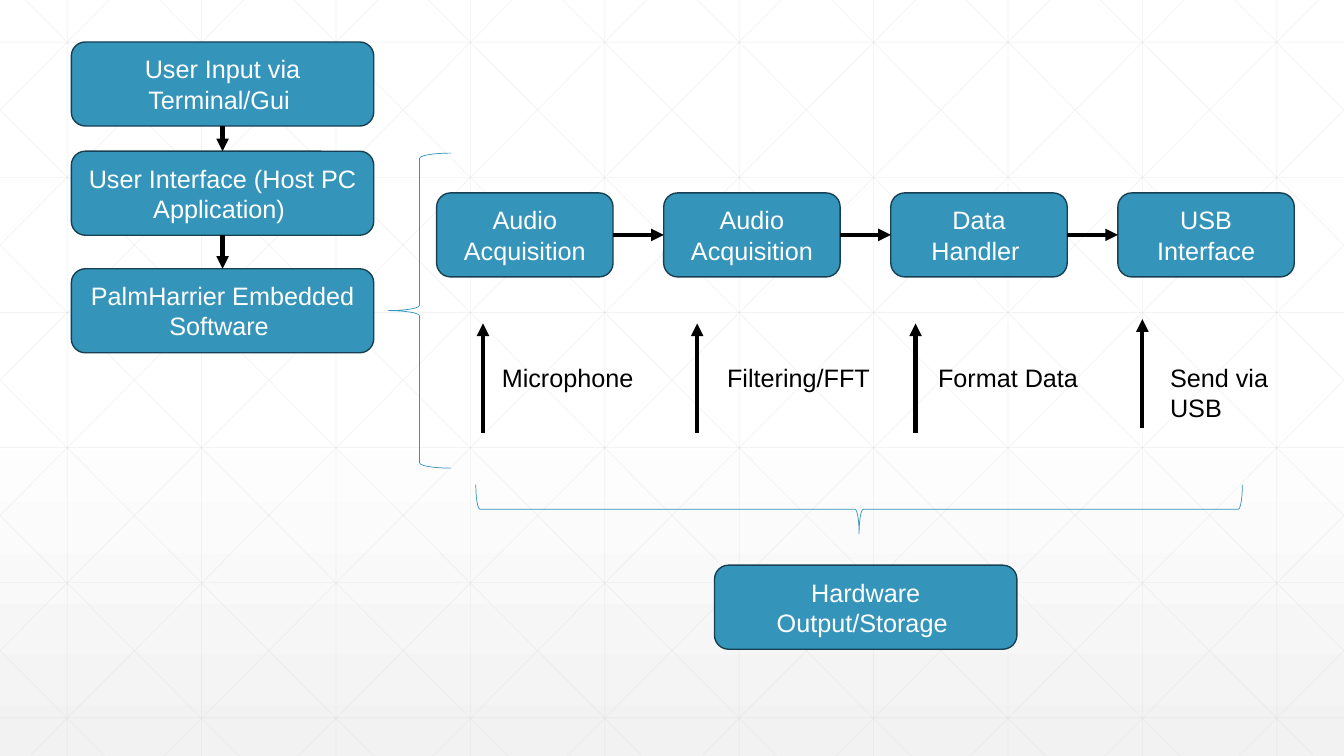
from lxml.etree import SubElement
from pptx import Presentation
from pptx.dml.color import RGBColor
from pptx.enum.shapes import MSO_CONNECTOR as CONN, MSO_SHAPE as SHAPE
from pptx.enum.text import MSO_ANCHOR as ANCHOR, PP_ALIGN as ALIGN
from pptx.oxml.ns import qn
from pptx.util import Pt

# Content: trailing spaces belong to the labels
HOST_STEPS = [  # label, top
    ("User Input via Terminal/Gui ", 30),
    ("User Interface (Host PC Application) ", 108),
    ("PalmHarrier Embedded Software ", 192),
]
STAGES = ["Audio Acquisition", "Audio Acquisition", "Data Handler ", "USB Interface"]
NOTES = [  # label, text left, arrow x, arrow top
    ("Microphone", 351.4, 345, 231),
    ("Filtering/FFT", 512.3, 498, 231),
    ("Format Data", 663, 654, 231),
    ("Send via USB", 828.7, 816, 228),
]
OUTPUT = ("Hardware Output/Storage ", 510.4, 403.7)
BRACES = [  # left, top, width, height, rotation
    (277.2, 109.4, 45, 225, 0),
    (596, 90, 35.3, 547.5, 270),
]

# Layout and style
W, H = 960, 540
GRID, GRID_Y = 96, 96.48
DIAGONAL_START, DIAGONAL_RUN = 18, 536.8
HOST_X, HOST_W, BOX_H = 51, 216, 60
STAGE_X, STAGE_Y, STAGE_W, STAGE_STEP = 311.9, 137.8, 126, 162.2
NOTE_Y, NOTE_W, ARROW_LEN = 255.3, 117, 78
TOP, LEFT, BOTTOM, RIGHT = range(4)  # connection sites
TEAL, EDGE, GREY, BLACK, WHITE = "3494BA", "174152", "D9D9D9", "000000", "FFFFFF"
FONT = {"name": "Arial", "size": Pt(18)}


def paint(color, value):
    color.rgb = RGBColor.from_string(value)


def write(shape, text, color, align, anchor):
    tf = shape.text_frame
    for key, value in {"word_wrap": True, "vertical_anchor": anchor}.items():
        setattr(tf, key, value)
    p = tf.paragraphs[0]
    p.alignment = align
    r = p.add_run()
    r.text = text
    for key, value in FONT.items():
        setattr(r.font, key, value)
    paint(r.font.color, color)


def outline(shape, color, width):
    paint(shape.line.color, color)
    shape.line.width = Pt(width)


def add_box(s, text, x, y, w):
    sp = s.shapes.add_shape(SHAPE.ROUNDED_RECTANGLE, Pt(x), Pt(y), Pt(w), Pt(BOX_H))
    sp.shadow.inherit = False
    sp.fill.solid()
    paint(sp.fill.fore_color, TEAL)
    outline(sp, EDGE, 1)
    write(sp, text, WHITE, ALIGN.CENTER, ANCHOR.MIDDLE)
    return sp


def add_line(s, x1, y1, x2, y2, color, width):
    line = s.shapes.add_connector(CONN.STRAIGHT, Pt(x1), Pt(y1), Pt(x2), Pt(y2))
    outline(line, color, width)
    SubElement(line._element.spPr, qn("a:effectLst"))
    return line


def add_grid_line(s, *ends):
    line = add_line(s, *ends, GREY, 0.5)
    color = line._element.spPr.find(".//" + qn("a:srgbClr"))
    SubElement(color, qn("a:alpha"), val="30000")


def add_arrow(s, x1, y1, x2, y2):
    line = add_line(s, x1, y1, x2, y2, BLACK, 3)
    SubElement(line.line._get_or_add_ln(), qn("a:tailEnd"), type="triangle")
    return line


def link(s, boxes, out_site, in_site):
    for a, b in zip(boxes, boxes[1:]):
        arrow = add_arrow(s, 0, 0, 0, 0)
        arrow.begin_connect(a, out_site)
        arrow.end_connect(b, in_site)


def add_backdrop(s):
    fill = s.background.fill
    fill.gradient()
    fill.gradient_angle = 270
    for stop, position, color in zip(fill.gradient_stops, (0.53, 1), (WHITE, "F2F2F2")):
        stop.position = position
        paint(stop.color, color)
    for i in range(10):
        x = GRID / 2 + i * GRID
        add_grid_line(s, x, 0, x, H)
    for i in range(6):
        y = 30.24 + i * GRID_Y
        add_grid_line(s, 0, y, W, y)
    # Diagonals clipped to the slide, each with its mirror image
    slope = H / DIAGONAL_RUN
    for i in range(-5, 10):
        start = DIAGONAL_START + i * GRID
        x1, x2 = max(start, 0), min(start + DIAGONAL_RUN, W)
        y1, y2 = (x1 - start) * slope, (x2 - start) * slope
        add_grid_line(s, x1, y1, x2, y2)
        add_grid_line(s, W - x1, y1, W - x2, y2)


def main():
    prs = Presentation()
    prs.slide_width, prs.slide_height = Pt(W), Pt(H)
    s = prs.slides.add_slide(prs.slide_layouts[6])
    add_backdrop(s)

    # Host column and processing row
    hosts = [add_box(s, text, HOST_X, y, HOST_W) for text, y in HOST_STEPS]
    stages = [add_box(s, text, STAGE_X + i * STAGE_STEP, STAGE_Y, STAGE_W)
              for i, text in enumerate(STAGES)]
    link(s, hosts, BOTTOM, TOP)
    link(s, stages, RIGHT, LEFT)

    # Notes with upward arrows
    for text, x, arrow_x, arrow_top in NOTES:
        add_arrow(s, arrow_x, arrow_top + ARROW_LEN, arrow_x, arrow_top)
        tb = s.shapes.add_textbox(Pt(x), Pt(NOTE_Y), Pt(NOTE_W), Pt(29))
        write(tb, text, BLACK, ALIGN.LEFT, ANCHOR.TOP)

    # Braces and output
    for x, y, w, h, rotation in BRACES:
        brace = s.shapes.add_shape(SHAPE.LEFT_BRACE, Pt(x), Pt(y), Pt(w), Pt(h))
        brace.rotation = rotation
        brace.shadow.inherit = False
        brace.fill.background()
        outline(brace, TEAL, 0.5)
    add_box(s, *OUTPUT, HOST_W)

    prs.save("out.pptx")


if __name__ == "__main__":
    main()
